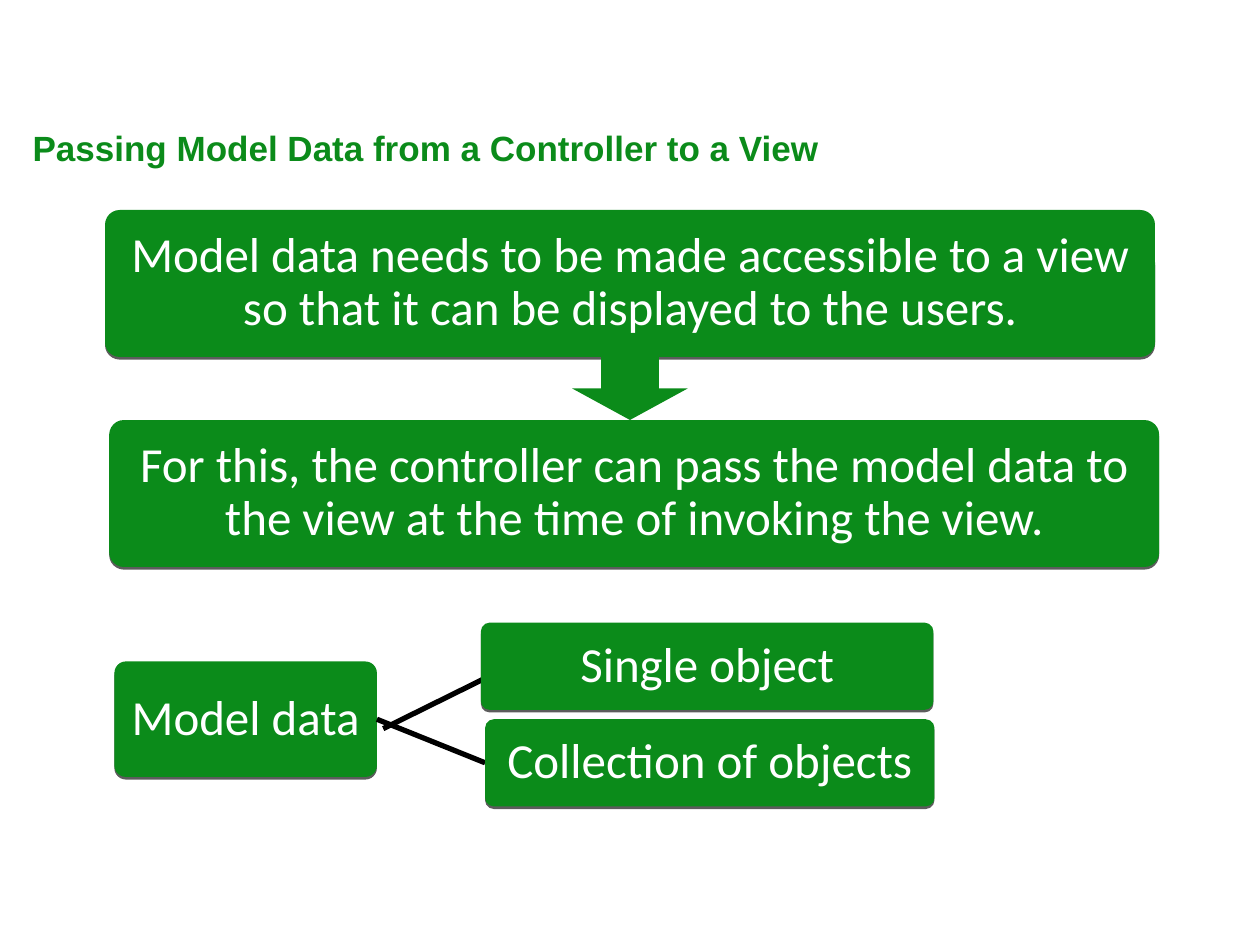
from lxml.etree import SubElement
from pptx import Presentation
from pptx.dml.color import RGBColor
from pptx.enum.shapes import MSO_CONNECTOR, MSO_SHAPE
from pptx.enum.text import MSO_ANCHOR, MSO_AUTO_SIZE, PP_ALIGN
from pptx.oxml.ns import qn
from pptx.util import Inches, Pt

COLORS = {"green": "0B8B1A", "white": "FFFFFF", "black": "000000"}
COLUMNS, ROWS = 120, 90


class Page:
    def __init__(self, deck):
        self.page = deck.slides.add_slide(deck.slide_layouts[5])
        self.column = deck.slide_width / COLUMNS
        self.row = deck.slide_height / ROWS

    def color(self, name):
        return RGBColor.from_string(COLORS[name])

    def place(self, left, top, width, height):
        return [round(length) for length in (left * self.column, top * self.row,
                                             width * self.column, height * self.row)]

    def add_text(self, para, text, font, size, color, bold=False):
        span = para.add_run()
        span.text = text
        span.font.name = font
        span.font.size = Pt(size)
        span.font.bold = bold
        span.font.color.rgb = self.color(color)

    def title(self, text, *area):
        box = self.page.shapes.title
        box.left, box.top, box.width, box.height = self.place(*area)
        frame = box.text_frame
        frame.word_wrap = False
        frame.auto_size = MSO_AUTO_SIZE.SHAPE_TO_FIT_TEXT
        frame.vertical_anchor = MSO_ANCHOR.TOP
        para = frame.paragraphs[0]
        para.alignment = PP_ALIGN.LEFT
        self.add_text(para, text, "Arial", 20, "green", bold=True)

    def shape(self, kind, *area):
        box = self.page.shapes.add_shape(kind, *self.place(*area))
        box.shadow.inherit = False
        box.fill.solid()
        box.fill.fore_color.rgb = self.color("green")
        box.line.fill.background()
        return box

    def card(self, text, *area):
        box = self.shape(MSO_SHAPE.ROUNDED_RECTANGLE, *area)
        box.adjustments[0] = 0.1
        effects = box.element.spPr.find(qn("a:effectLst"))
        shadow = SubElement(effects, qn("a:outerShdw"), blurRad="0", dist=str(Pt(1.5)),
                            dir="5400000", algn="ctr", rotWithShape="0")
        shade = SubElement(shadow, qn("a:srgbClr"), val=COLORS["black"])
        SubElement(shade, qn("a:alpha"), val="63000")
        frame = box.text_frame
        frame.word_wrap = True
        frame.vertical_anchor = MSO_ANCHOR.MIDDLE
        frame.margin_left = frame.margin_right = Inches(0.08)
        frame.margin_top = frame.margin_bottom = Inches(0.05)
        para = frame.paragraphs[0]
        para.alignment = PP_ALIGN.CENTER
        para.line_spacing = 0.9
        self.add_text(para, text, "Calibri", 28, "white")
        return box

    def arrow(self, *area):
        self.shape(MSO_SHAPE.DOWN_ARROW, *area)

    def branch(self, start, end):
        line = self.page.shapes.add_connector(
            MSO_CONNECTOR.STRAIGHT, *self.place(*start, *end))
        line.line.width = Pt(3)
        line.line.color.rgb = self.color("black")
        SubElement(line.element.spPr, qn("a:effectLst"))
        return line


def main():
    deck = Presentation()
    deck.slide_width, deck.slide_height = Inches(10), Inches(7.5)
    page = Page(deck)
    page.title("Passing Model Data from a Controller to a View", 1.9, 11.4, 77.4, 5.3)
    page.card("Model data needs to be made accessible to a view "
              "so that it can be displayed to the users.", 10, 20, 100, 14)
    page.arrow(54.5, 34, 11, 6)
    page.card("For this, the controller can pass the model data to "
              "the view at the time of invoking the view.", 10.4, 40, 100, 14)
    model = page.card("Model data", 10.9, 63, 25, 11)
    page.branch((36.5, 69.4), (46.2, 64.6))
    lower = page.branch((36.1, 68.8), (46.2, 73.1))
    page.card("Single object", 45.8, 59.3, 43.1, 8.3)
    collection = page.card("Collection of objects", 46.2, 68.5, 42.8, 8.3)
    lower.begin_connect(model, 3)
    lower.end_connect(collection, 1)
    deck.save("out.pptx")


if __name__ == "__main__":
    main()
